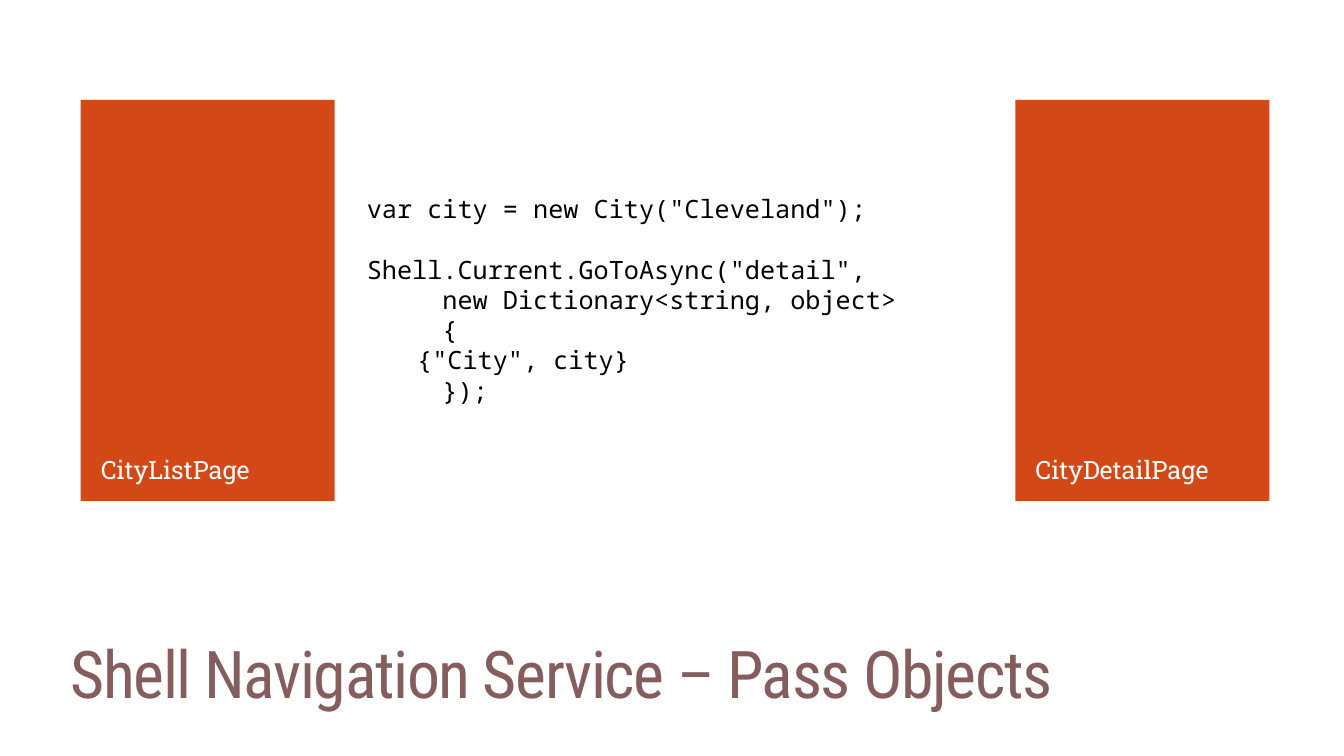
from pptx import Presentation
from pptx.dml.color import RGBColor
from pptx.enum.shapes import MSO_SHAPE
from pptx.enum.text import MSO_ANCHOR, PP_ALIGN
from pptx.util import Inches, Pt

TITLE = "Shell Navigation Service – Pass Objects"
PAGES = [("CityListPage", 0.8), ("CityDetailPage", 10.07)]
# Each code line with the space above it, in points
CODE = [
    ('var city = new City("Cleveland");', 0),
    ('Shell.Current.GoToAsync("detail",', 21.6),
    ("     new Dictionary<string, object>", 0),
    ("     {", 0),
    ('\t{"City", city}', 0),
    ("     });", 0),
]

ORANGE = RGBColor(0xD3, 0x48, 0x17)
MAUVE = RGBColor(0x85, 0x5D, 0x5D)
BLACK = RGBColor(0, 0, 0)
WHITE = RGBColor(255, 255, 255)


def style(para, face, size, color):
    para.alignment = PP_ALIGN.LEFT
    para.font.name = face
    para.font.size = Pt(size)
    para.font.color.rgb = color


def add_box(slide, *area):
    frame = slide.shapes.add_textbox(*map(Inches, area)).text_frame
    frame.word_wrap = True
    return frame


def add_title(slide):
    para = add_box(slide, 0.6, 6.32, 12.12, 0.78).paragraphs[0]
    run = para.add_run()
    run.text = TITLE
    run.font._element.set("spc", "-100")
    para.line_spacing = 0.9
    style(para, "Roboto Condensed", 47, MAUVE)


def add_code(slide):
    frame = add_box(slide, 3.54, 1.87, 6.3, 2.22)
    for i, (line, gap) in enumerate(CODE):
        para = frame.add_paragraph() if i else frame.paragraphs[0]
        para.text = line
        if gap:
            para.space_before = Pt(gap)
        style(para, "Noto Sans Mono", 18, BLACK)


def add_page(slide, name, left):
    area = map(Inches, (left, 0.99, 2.52, 3.98))
    tile = slide.shapes.add_shape(MSO_SHAPE.RECTANGLE, *area)
    tile.shadow.inherit = False
    tile.fill.solid()
    tile.fill.fore_color.rgb = ORANGE
    tile.line.fill.background()
    frame = tile.text_frame
    frame.word_wrap = True
    frame.vertical_anchor = MSO_ANCHOR.BOTTOM
    frame.margin_left = frame.margin_right = Inches(0.2)
    frame.margin_top = frame.margin_bottom = Inches(0.16)
    para = frame.paragraphs[0]
    para.text = name
    para.line_spacing = 0.9
    style(para, "Roboto Slab", 18, WHITE)


def main():
    deck = Presentation()
    deck.slide_width, deck.slide_height = Inches(13.33), Inches(7.5)
    slide = deck.slides.add_slide(deck.slide_layouts[6])
    add_title(slide)
    add_code(slide)
    for name, left in PAGES:
        add_page(slide, name, left)
    deck.save("out.pptx")


if __name__ == "__main__":
    main()
